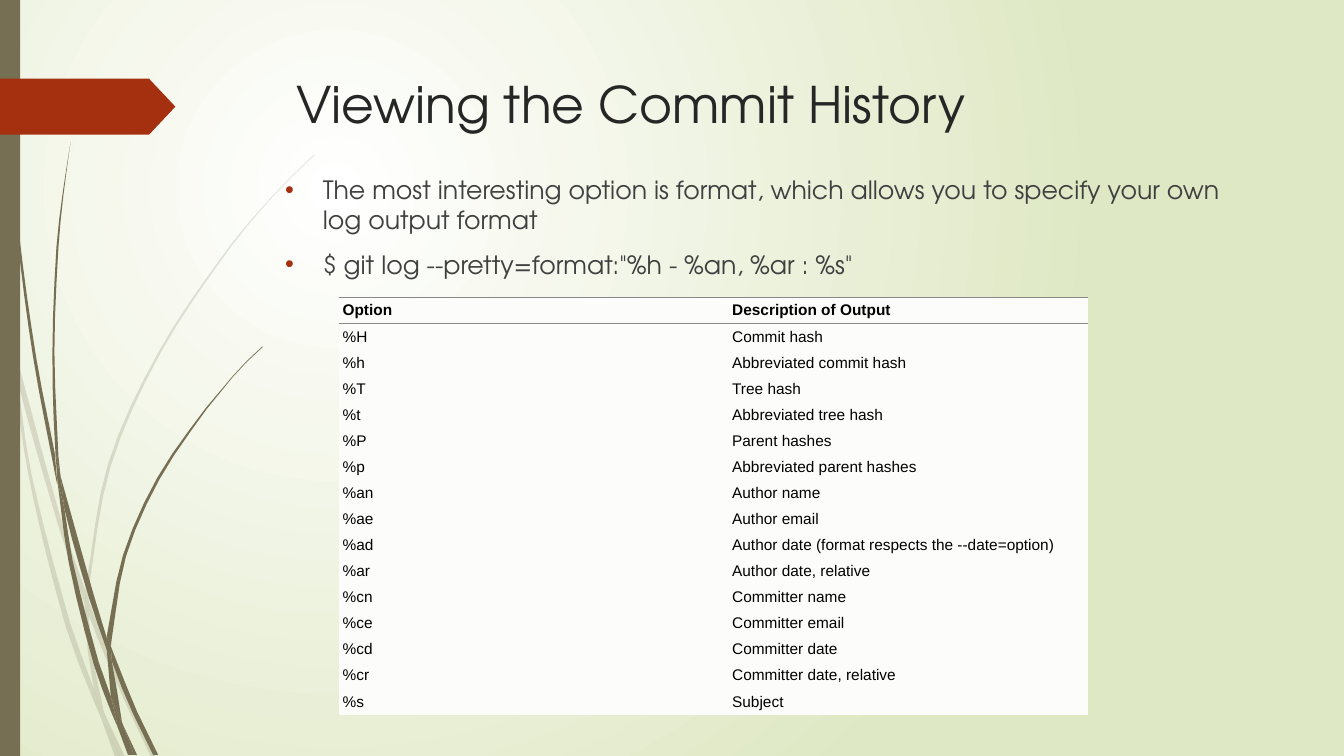
"""Build the slide on viewing the commit history with log format options."""
from itertools import chain
from math import dist

from lxml.etree import SubElement
from pptx import Presentation
from pptx.dml.color import RGBColor as RGB
from pptx.enum.shapes import MSO_SHAPE as SHAPE
from pptx.enum.text import MSO_ANCHOR as ANCHOR
from pptx.oxml.ns import qn
from pptx.util import Pt

THEME = {
    "olive": "766F54", "rust": "A53010", "glow": "FFFFFF", "leaf": "DFE8C4",
    "title": "262626", "body": "404040", "ink": "000000",
    "paper": "FCFCFA", "rule": "888888",
    "heading_font": "TeX Gyre Adventor", "table_font": "Arial",
    "title_size": 36, "body_size": 18, "table_size": 11,
}
GRASS_UNIT = 0.72
CHORD = 32

PALE_BLADES = [
    ([(11, 350), (9, 322), (0, 282)], [(0, 299), (10, 344), (11, 350)]),
    ([(14, 345), (17, 376), (58, 522), (84, 599)], [(85, 586), (62, 520), (14, 345)]),
    ([(88, 596), (88, 610), (123, 694), (150, 751)],
     [(155, 751), (127, 692), (92, 607), (88, 596)]),
    ([(105, 711), (119, 751)], [(124, 751), (105, 711)]),
    ([(11, 350), (28, 470), (65, 621), (92, 693), (101, 714)],
     [(99, 707), (93, 683), (70, 619), (31, 469), (17, 376), (11, 350)]),
    ([(84, 599), (87, 646), (93, 683), (96, 692), (105, 711)],
     [(103, 706), (91, 646), (88, 610), (84, 599)]),
    ([(312, 153), (289, 175), (268, 197), (228, 244), (158, 348), (107, 461), (85, 584)],
     [(88, 596), (88, 584), (110, 462), (160, 349), (229, 245), (268, 198), (290, 175),
      (312, 154)]),
    ([(101, 714), (114, 751)], [(119, 751), (101, 714)]),
    ([(85, 586), (84, 599)], [(88, 610), (88, 596), (85, 586)]),
    ([(93, 683), (99, 707), (101, 714), (119, 751)], [(105, 711), (96, 692), (93, 683)]),
]
DARK_BLADES = [
    ([(3, 0), (4, 48), (7, 110), (17, 233), (33, 355), (56, 477), (57, 481)],
     [(55, 457), (55, 453), (36, 355), (19, 232), (8, 109), (5, 48), (4, 0)]),
    ([(60, 472), (64, 505), (88, 592), (106, 645)], [(106, 633), (93, 590), (60, 472)]),
    ([(110, 641), (111, 656), (132, 708), (152, 749)],
     [(157, 749), (136, 706), (113, 649), (110, 641)]),
    ([(57, 477), (68, 557), (93, 659), (111, 708), (117, 722)],
     [(116, 717), (110, 691), (98, 657), (72, 556), (64, 505), (57, 477)]),
    ([(70, 141), (62, 193), (56, 245), (52, 349), (55, 449), (60, 472)],
     [(58, 453), (54, 349), (58, 245), (63, 193), (70, 141)]),
    ([(122, 719), (133, 749)], [(136, 749), (122, 719)]),
    ([(55, 449), (57, 477), (64, 505)], [(60, 472), (55, 449)]),
    ([(260, 344), (245, 358), (231, 373), (204, 405), (156, 474), (122, 551), (106, 631)],
     [(110, 641), (111, 633), (125, 552), (158, 476), (205, 406), (231, 374), (245, 359),
      (261, 344)]),
    ([(117, 722), (127, 749)], [(131, 749), (117, 722)]),
    ([(106, 645), (110, 691), (116, 706), (122, 719)], [(121, 716), (111, 656), (106, 645)]),
    ([(106, 631), (106, 645), (111, 656)], [(110, 641), (106, 631)]),
    ([(110, 691), (116, 717), (117, 722), (130, 749)],
     [(133, 749), (122, 719), (116, 706), (110, 691)]),
]
OPTIONS = [
    ("Option", "Description of Output"),
    ("%H", "Commit hash"),
    ("%h", "Abbreviated commit hash"),
    ("%T", "Tree hash"),
    ("%t", "Abbreviated tree hash"),
    ("%P", "Parent hashes"),
    ("%p", "Abbreviated parent hashes"),
    ("%an", "Author name"),
    ("%ae", "Author email"),
    ("%ad", "Author date (format respects the --date=option)"),
    ("%ar", "Author date, relative"),
    ("%cn", "Committer name"),
    ("%ce", "Committer email"),
    ("%cd", "Committer date"),
    ("%cr", "Committer date, relative"),
    ("%s", "Subject"),
]
POINTS = [
    "The most interesting option is format, which allows you to specify your own log output format",
    '$ git log --pretty=format:"%h - %an, %ar : %s"',
]


def smooth(edge):
    """Sample a smooth curve through the points of one blade edge."""
    ends = [edge[0], *edge, edge[-1]]
    slopes = [[(c - a) / (dist(before, here) + dist(here, after))
               for a, c in zip(before, after)]
              for before, here, after in zip(ends, ends[1:], ends[2:])]
    curve = [edge[0]]
    for start, end, leave, arrive in zip(edge, edge[1:], slopes, slopes[1:]):
        span = dist(start, end)
        steps = max(1, round(span / CHORD)) if len(edge) > 2 else 1
        for step in range(1, steps + 1):
            t = step / steps
            h = t * t * (3 - 2 * t)
            curve.append([a + (b - a) * h
                          + span * (m * t * (1 - t) ** 2 - n * t * t * (1 - t))
                          for a, b, m, n in zip(start, end, leave, arrive)])
    return [(Pt(x * GRASS_UNIT), Pt(y * GRASS_UNIT)) for x, y in curve]


def write(paragraph, text, font, size, color, bold=False):
    """Add one formatted run to a paragraph."""
    run = paragraph.add_run()
    run.text = text
    run.font.color.rgb = RGB.from_string(THEME[color])
    formats = {"name": THEME[font], "size": Pt(THEME[size]), "bold": bold}
    for key, value in formats.items():
        setattr(run.font, key, value)


deck = Presentation()
deck.slide_width, deck.slide_height = Pt(960), Pt(540)
slide = deck.slides.add_slide(deck.slide_layouts[6])
shapes = slide.shapes

backdrop = slide.background.fill
backdrop.gradient()
for stop, color in zip(backdrop.gradient_stops, ("glow", "leaf")):
    stop.color.rgb = RGB.from_string(THEME[color])
gradient = next(slide.element.iter(qn("a:gradFill")))
gradient.remove(gradient.find(qn("a:lin")))
circle = SubElement(gradient, qn("a:path"), path="circle")
SubElement(circle, qn("a:fillToRect"), l="50000", t="50000", r="100000", b="100000")

decor = []
for blades, alpha in ((PALE_BLADES, "20000"), (DARK_BLADES, "100000")):
    for edges in blades:
        outline = list(chain.from_iterable(smooth(edge) for edge in edges))
        builder = shapes.build_freeform(*outline[0])
        builder.add_line_segments(outline[1:], close=True)
        decor.append((builder.convert_to_shape(), "olive", alpha))
side_bar = shapes.add_shape(SHAPE.RECTANGLE, 0, 0, Pt(14.4), Pt(540))
marker = shapes.add_shape(SHAPE.PENTAGON, 0, Pt(56.2), Pt(125.3), Pt(40))
marker.adjustments[0] = 0.47
decor += [(side_bar, "olive", "100000"), (marker, "rust", "100000")]
for part, color, alpha in decor:
    part.shadow.inherit = False
    part.line.fill.background()
    part.fill.solid()
    part.fill.fore_color.rgb = RGB.from_string(THEME[color])
    if alpha != "100000":
        tint = next(part.element.spPr.iter(qn("a:srgbClr")))
        SubElement(tint, qn("a:alpha"), val=alpha)

title = shapes.add_textbox(Pt(204.5), Pt(49), Pt(702), Pt(100.8)).text_frame
title.word_wrap = True
write(title.paragraphs[0], "Viewing the Commit History", "heading_font", "title_size", "title")

body = shapes.add_textbox(Pt(196.5), Pt(121), Pt(702), Pt(297.4)).text_frame
body.word_wrap = True
for index, point in enumerate(POINTS):
    paragraph = body.add_paragraph() if index else body.paragraphs[0]
    paragraph.space_before = Pt(10)
    bullet = paragraph._p.get_or_add_pPr()
    bullet.set("marL", str(Pt(27)))
    bullet.set("indent", str(-Pt(27)))
    SubElement(SubElement(bullet, qn("a:buClr")), qn("a:srgbClr"), val=THEME["rust"])
    SubElement(bullet, qn("a:buFont"), typeface="Arial")
    SubElement(bullet, qn("a:buChar"), char="•")
    write(paragraph, point, "heading_font", "body_size", "body")

row_height = 17.7
options = shapes.add_table(len(OPTIONS), 2, Pt(242), Pt(212.5), Pt(535),
                           Pt(row_height * len(OPTIONS))).table
options.first_row = options.horz_banding = False
for column, width in zip(options.columns, (278.3, 256.7)):
    column.width = Pt(width)
CELL_FORMAT = {"vertical_anchor": ANCHOR.MIDDLE, **dict.fromkeys(
    ("margin_left", "margin_right", "margin_top", "margin_bottom"), Pt(2.7))}
for r, entry in enumerate(OPTIONS):
    options.rows[r].height = Pt(row_height)
    ruled = {0: ("lnT", "lnB"), 1: ("lnT",)}.get(r, ())
    for c, text in enumerate(entry):
        cell = options.cell(r, c)
        for key, value in CELL_FORMAT.items():
            setattr(cell, key, value)
        for side in ("lnL", "lnR", "lnT", "lnB"):
            border = SubElement(cell._tc.get_or_add_tcPr(), qn(f"a:{side}"), w=str(Pt(0.75)))
            if side in ruled:
                SubElement(SubElement(border, qn("a:solidFill")), qn("a:srgbClr"),
                           val=THEME["rule"])
            else:
                SubElement(border, qn("a:noFill"))
        cell.fill.solid()
        cell.fill.fore_color.rgb = RGB.from_string(THEME["paper"])
        write(cell.text_frame.paragraphs[0], text, "table_font", "table_size", "ink", r == 0)

deck.save("out.pptx")
